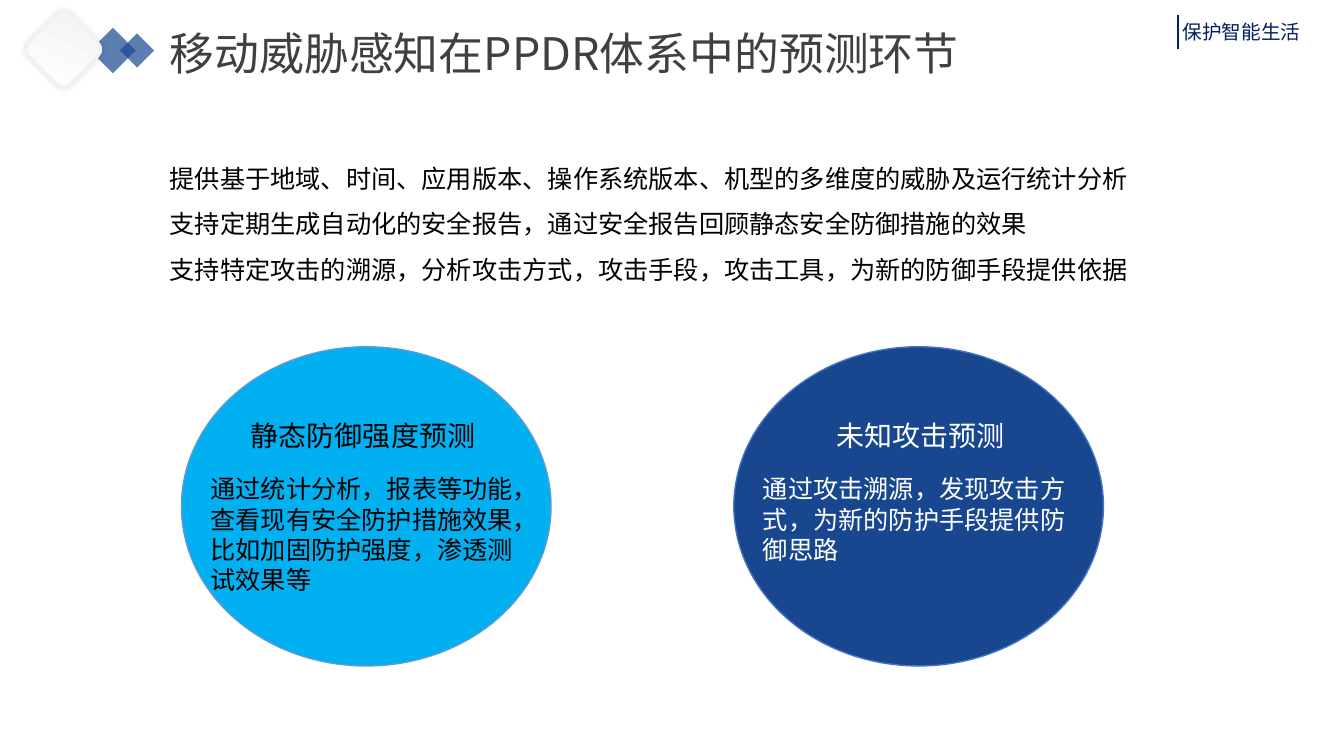
import dataclasses

import lxml.etree
import pptx
import pptx.dml.color
import pptx.enum.lang
import pptx.enum.shapes
import pptx.enum.text
import pptx.oxml.ns
import pptx.util

SHAPE = pptx.enum.shapes.MSO_SHAPE
ANCHOR = pptx.enum.text.MSO_ANCHOR
AUTO_SIZE = pptx.enum.text.MSO_AUTO_SIZE
COLUMNS, ROWS = 160, 90


@dataclasses.dataclass(frozen=True)
class Theme:
    font: str = "Noto Sans CJK SC"
    detail_font: str = "Calibri"
    ink: str = "000000"
    paper: str = "FFFFFF"
    pale: str = "F2F2F2"
    title: str = "404040"
    slogan: str = "002060"
    navy: str = "18478F"
    sky: str = "00B0F0"
    navy_edge: str = "4472C4"
    sky_edge: str = "5B9BD5"
    title_size: int = 32
    heading_size: int = 20
    body_size: int = 18
    slogan_size: int = 14


def rgb(code):
    return pptx.dml.color.RGBColor.from_string(code)


def assign(target, values):
    for name, value in values.items():
        setattr(target, name, value)


def add_xml(parent, tag, **attributes):
    return lxml.etree.SubElement(parent, pptx.oxml.ns.qn(tag), attributes)


class SlideBuilder:
    """Places elements on a grid of 160 columns by 90 rows."""

    def __init__(self, deck, theme):
        self.theme = theme
        self.cell_width = deck.slide_width / COLUMNS
        self.cell_height = deck.slide_height / ROWS
        self.slide = deck.slides.add_slide(deck.slide_layouts[1])

    def box(self, column, row, width, height):
        return (round(column * self.cell_width), round(row * self.cell_height),
                round(width * self.cell_width), round(height * self.cell_height))

    def set_text(self, shape, lines, size, color, font=None, spacing=1.0,
                 anchor=ANCHOR.TOP, auto_size=AUTO_SIZE.SHAPE_TO_FIT_TEXT):
        frame = shape.text_frame
        frame.text = "\n".join(lines)
        assign(frame, {"word_wrap": True, "auto_size": auto_size,
                       "vertical_anchor": anchor})
        for paragraph in frame.paragraphs:
            assign(paragraph, {"alignment": pptx.enum.text.PP_ALIGN.LEFT,
                               "line_spacing": spacing,
                               "space_before": pptx.util.Pt(0)})
            letters = paragraph.runs[0].font
            assign(letters, {
                "size": pptx.util.Pt(size), "name": font or self.theme.font,
                "language_id": pptx.enum.lang.MSO_LANGUAGE_ID.SIMPLIFIED_CHINESE})
            letters.color.rgb = rgb(color)
            add_xml(paragraph.runs[0]._r.rPr, "a:ea", typeface=self.theme.font)

    def placeholder(self, index, place, lines, **style):
        holder = self.slide.placeholders[index]
        assign(holder, dict(zip(("left", "top", "width", "height"), self.box(*place))))
        self.set_text(holder, lines, auto_size=AUTO_SIZE.NONE, **style)
        for paragraph in holder.text_frame.paragraphs:
            properties = paragraph._p.get_or_add_pPr()
            properties.set("marL", "0")
            properties.set("indent", "0")
            add_xml(properties, "a:buNone")

    def text(self, place, words, **style):
        self.set_text(self.slide.shapes.add_textbox(*self.box(*place)), [words], **style)

    def shape(self, kind, place, fill=None, edge=None, edge_width=1, rotation=0):
        figure = self.slide.shapes.add_shape(kind, *self.box(*place))
        figure.rotation = rotation
        figure.shadow.inherit = False
        if fill:
            figure.fill.solid()
            figure.fill.fore_color.rgb = rgb(fill)
        if edge:
            figure.line.color.rgb = rgb(edge)
            figure.line.width = pptx.util.Pt(edge_width)
        else:
            figure.line.fill.background()
        return figure

    def diamond(self, column, row, side):
        """Turned square, 70 % opaque."""
        square = self.shape(SHAPE.RECTANGLE, (column, row, side, side),
                            self.theme.navy, rotation=225)
        tint = square._element.spPr.find(".//" + pptx.oxml.ns.qn("a:srgbClr"))
        add_xml(tint, "a:alpha", val="70000")

    def tile(self, column, row, side):
        """Turned rounded square with a gradient and a soft shadow."""
        tile = self.shape(SHAPE.ROUNDED_RECTANGLE, (column, row, side, side),
                          edge=self.theme.pale, edge_width=2, rotation=45)
        tile.fill.gradient()
        tile.fill.gradient_angle = 110
        stops = tile.fill.gradient_stops
        for stop, position, color in zip(stops, (0, 1), (self.theme.paper, self.theme.pale)):
            stop.position = position
            stop.color.rgb = rgb(color)
        effects = tile._element.spPr.find(pptx.oxml.ns.qn("a:effectLst"))
        shadow = add_xml(effects, "a:outerShdw", blurRad=str(pptx.util.Pt(5)),
                         dist="0", dir="0", algn="ctr", rotWithShape="0")
        shade = add_xml(shadow, "a:srgbClr", val=self.theme.ink)
        add_xml(shade, "a:alpha", val="11000")

    def vertical_rule(self, column, row, height, color, width):
        left, top, _, length = self.box(column, row, 0, height)
        rule = self.slide.shapes.add_connector(
            pptx.enum.shapes.MSO_CONNECTOR.STRAIGHT, left, top, left, top + length)
        rule.line.color.rgb = rgb(color)
        rule.line.width = pptx.util.Pt(width)
        add_xml(rule._element.spPr, "a:effectLst")

    def prediction(self, column, fill, edge, ink, heading, heading_shift,
                   heading_width, detail, detail_height):
        """Ellipse with a heading and a detail text."""
        theme = self.theme
        self.shape(SHAPE.OVAL, (column, 41.28, 44, 38), fill, edge)
        self.text((column + heading_shift, 49.2, heading_width, 5.28), heading,
                  size=theme.heading_size, color=ink)
        self.text((column + 2.28, 55.8, 39.48, detail_height), detail,
                  size=theme.body_size, color=ink, font=theme.detail_font)


def main():
    deck = pptx.Presentation()
    assign(deck, {"slide_width": pptx.util.Inches(13.33),
                  "slide_height": pptx.util.Inches(7.5)})
    theme = Theme()
    page = SlideBuilder(deck, theme)

    page.diamond(11.52, 4.08, 3.84)
    page.diamond(14.88, 4.56, 2.88)
    page.tile(4.08, 2.4, 6.96)
    page.text((139.6, 1.8, 16.7, 4.08), "保护智能生活",
              size=theme.slogan_size, color=theme.slogan)
    page.vertical_rule(140.2, 1.8, 4, theme.slogan, 1.5)

    page.placeholder(0, (19, 1.8, 106.4, 9.84), ["移动威胁感知在PPDR体系中的预测环节"],
                     size=theme.title_size, color=theme.title, spacing=0.9,
                     anchor=ANCHOR.MIDDLE)
    page.placeholder(1, (19, 17.04, 118.2, 16.92), [
        "提供基于地域、时间、应用版本、操作系统版本、机型的多维度的威胁及运行统计分析",
        "支持定期生成自动化的安全报告，通过安全报告回顾静态安全防御措施的效果",
        "支持特定攻击的溯源，分析攻击方式，攻击手段，攻击工具，为新的防御手段提供依据",
    ], size=theme.body_size, color=theme.ink, spacing=1.5)

    page.prediction(21.6, theme.sky, theme.sky_edge, theme.ink,
                    "静态防御强度预测", 7.08, 30.12,
                    "通过统计分析，报表等功能，查看现有安全防护措施效果，"
                    "比如加固防护强度，渗透测试效果等", 15.72)
    page.prediction(87.36, theme.navy, theme.navy_edge, theme.paper,
                    "未知攻击预测", 11.04, 24.24,
                    "通过攻击溯源，发现攻击方式，为新的防护手段提供防御思路", 12.12)

    deck.save("out.pptx")


if __name__ == "__main__":
    main()
